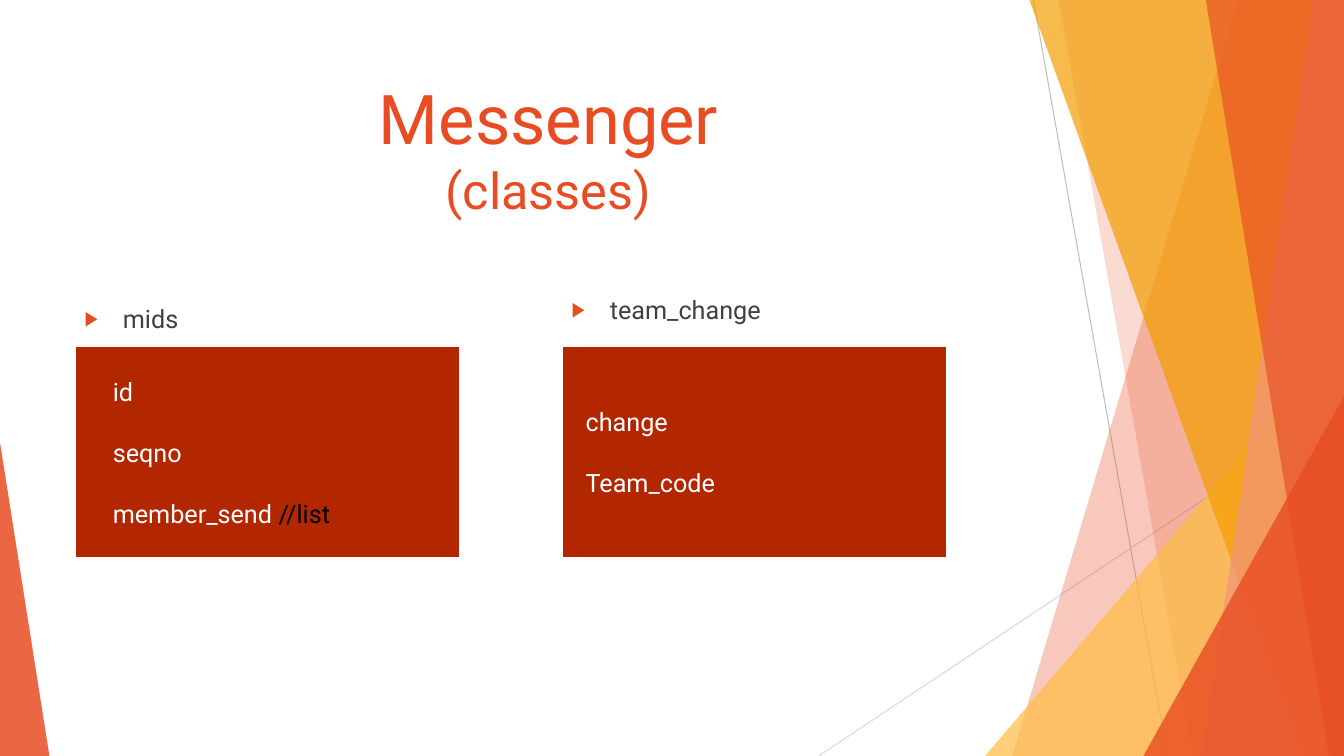
from lxml.etree import SubElement
from pptx import Presentation
from pptx.dml.color import RGBColor
from pptx.enum.shapes import MSO_CONNECTOR, MSO_SHAPE
from pptx.enum.text import MSO_ANCHOR, PP_ALIGN
from pptx.oxml.ns import qn
from pptx.util import Inches, Pt

WIDE, HIGH = 13.33, 7.5
FONT = "Roboto"
HUES = {
    "red": "E84C22", "pink": "F1947A", "gold": "F49D00", "sand": "FFBD47",
    "rust": "B22600", "dark": "404040", "black": "000000", "white": "FFFFFF",
    "grey": "BFBFBF", "pale": "D9D9D9",
}


def hue(name):
    """Return the named colour."""
    return RGBColor.from_string(HUES[name])


def paint(shape, name, alpha=100):
    """Fill a shape without outline or shadow, at alpha percent."""
    shape.shadow.inherit = False
    shape.fill.solid()
    shape.fill.fore_color.rgb = hue(name)
    shape.line.fill.background()
    if alpha < 100:
        tint = next(shape.fill._xPr.iter(qn("a:srgbClr")))
        SubElement(tint, qn("a:alpha"), val=str(alpha * 1000))


def add_line(slide, start, end, name):
    """Draw a thin straight line."""
    ends = [Inches(n) for n in (*start, *end)]
    line = slide.shapes.add_connector(MSO_CONNECTOR.STRAIGHT, *ends)
    line.line.color.rgb = hue(name)
    line.line.width = Pt(0.75)
    SubElement(line._element.spPr, qn("a:effectLst"))


def add_shard(slide, top, base, name, alpha):
    """Draw a full-height band from a slanted edge to the right side."""
    spots = [(top, 0), (WIDE, 0), (WIDE, HIGH), (base, HIGH)]
    spots = [(Inches(x), Inches(y)) for x, y in spots]
    pen = slide.shapes.build_freeform(*spots[0], scale=1.0)
    pen.add_line_segments(spots[1:], close=True)
    paint(pen.convert_to_shape(), name, alpha)


def add_wedge(slide, left, top, width, tip, name, alpha):
    """Draw a triangle standing on the bottom edge."""
    area = [Inches(n) for n in (left, top, width, HIGH - top)]
    wedge = slide.shapes.add_shape(MSO_SHAPE.ISOSCELES_TRIANGLE, *area)
    wedge.adjustments[0] = tip
    paint(wedge, name, alpha)


def add_text(slide, area, lines, size, name, gap=0):
    """Add a text box with one paragraph per line."""
    box = slide.shapes.add_textbox(*[Inches(n) for n in area])
    frame = box.text_frame
    frame.word_wrap = True
    frame.text = "\n".join(lines)
    for rank, para in enumerate(frame.paragraphs):
        para.space_before = Pt(gap if rank else 0)
        for run in para.runs:
            style(run, size, name)
    return frame


def style(run, size, name):
    """Set the font of a run."""
    run.font.name = FONT
    run.font.size = Pt(size)
    run.font.color.rgb = hue(name)


def add_bullet(para):
    """Give a paragraph a red arrow bullet and a hanging indent."""
    props = para._p.get_or_add_pPr()
    props.set("marL", str(Inches(0.38)))
    props.set("indent", str(-Inches(0.38)))
    tint = SubElement(props, qn("a:buClr"))
    SubElement(tint, qn("a:srgbClr"), val=HUES["red"])
    SubElement(props, qn("a:buSzPct"), val="80000")
    SubElement(props, qn("a:buFont"), typeface=FONT)
    SubElement(props, qn("a:buChar"), char="\u25b6")


def add_class(slide, left, head, top, inset, fields, rise):
    """Add a class name over a box that lists its fields."""
    label = add_text(slide, (left, top, 4.58, 4.24), [head], 18, "dark")
    add_bullet(label.paragraphs[0])
    area = [Inches(n) for n in (left, 3.43, 3.83, 2.11)]
    card = slide.shapes.add_shape(MSO_SHAPE.RECTANGLE, *area)
    paint(card, "rust")
    card.line.color.rgb = hue("white")
    card.line.width = Pt(2)
    tall = 0.6 * len(fields) - 0.2
    area = (left + inset, rise, 3.55, tall)
    return add_text(slide, area, fields, 18, "white", gap=22)


def add_title(slide):
    """Add the centred two-line title."""
    area = (0.74, 0.67, 9.4, 1.59)
    frame = add_text(slide, area, ["Messenger\v(classes)"], 49, "red")
    frame.vertical_anchor = MSO_ANCHOR.MIDDLE
    para = frame.paragraphs[0]
    para.alignment = PP_ALIGN.CENTER
    para.runs[1].font.size = Pt(36)


def add_decor(slide):
    """Draw the lines, bands and wedges behind the text."""
    add_line(slide, (10.25, 0), (11.58, HIGH), "grey")
    add_line(slide, (WIDE, 4.03), (8.12, HIGH), "pale")
    add_shard(slide, 12.28, 10.04, "red", 30)
    add_shard(slide, 10.5, 11.83, "red", 20)
    add_wedge(slide, 9.77, 3.33, 3.56, 1, "sand", 72)
    add_shard(slide, 10.21, 12.91, "gold", 70)
    add_shard(slide, 13.03, 11.92, "pink", 70)
    add_shard(slide, 11.96, 13.18, "red", 65)
    add_wedge(slide, 11.34, 3.93, 1.99, 1, "red", 80)
    add_wedge(slide, 0, 4.39, 0.49, 0, "red", 85)


def main():
    """Build and save the slide."""
    deck = Presentation()
    deck.slide_width, deck.slide_height = Inches(WIDE), Inches(HIGH)
    slide = deck.slides.add_slide(deck.slide_layouts[6])
    add_decor(slide)
    add_title(slide)
    fields = ["id", "seqno", "member_send "]
    mids = add_class(slide, 0.74, "mids", 2.96, 0.28, fields, 3.68)
    note = mids.paragraphs[-1].add_run()
    note.text = "//list"
    style(note, 18, "black")
    fields = ["change", "Team_code"]
    add_class(slide, 5.57, "team_change", 2.87, 0.14, fields, 3.98)
    deck.save("out.pptx")


main()
